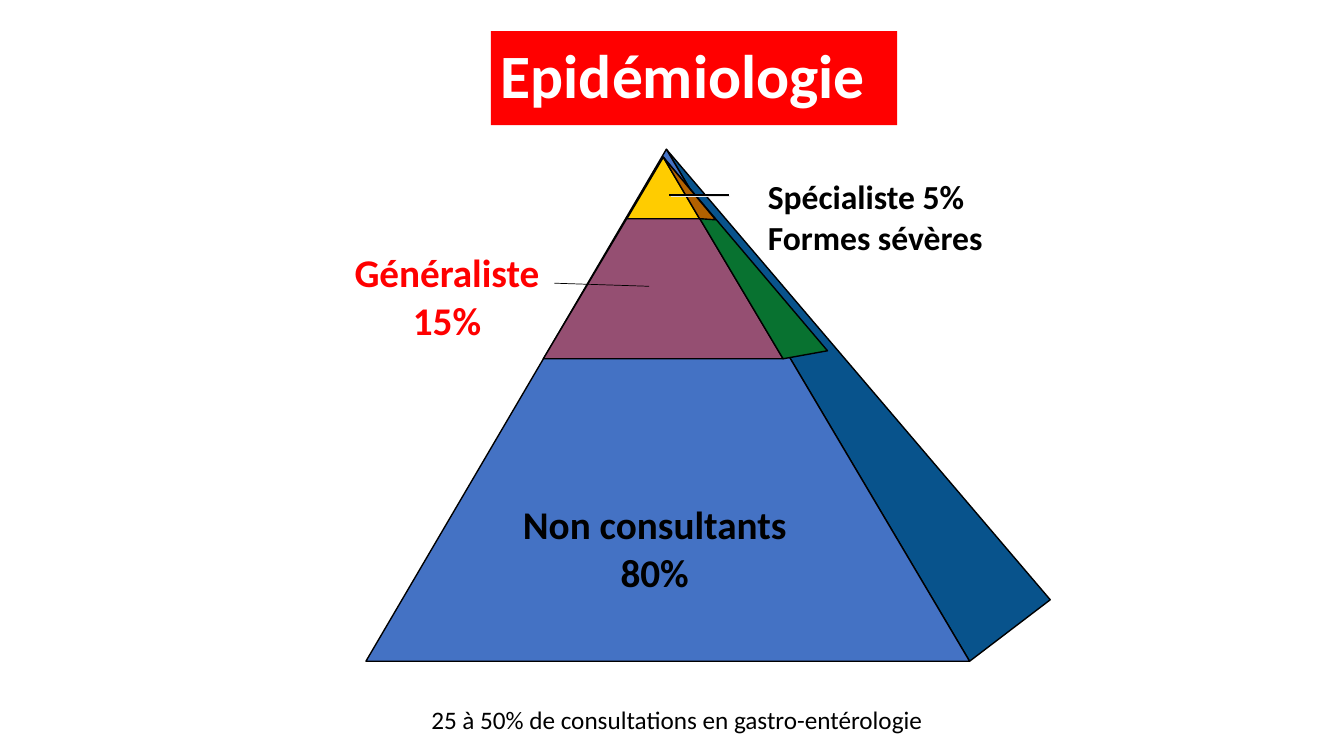
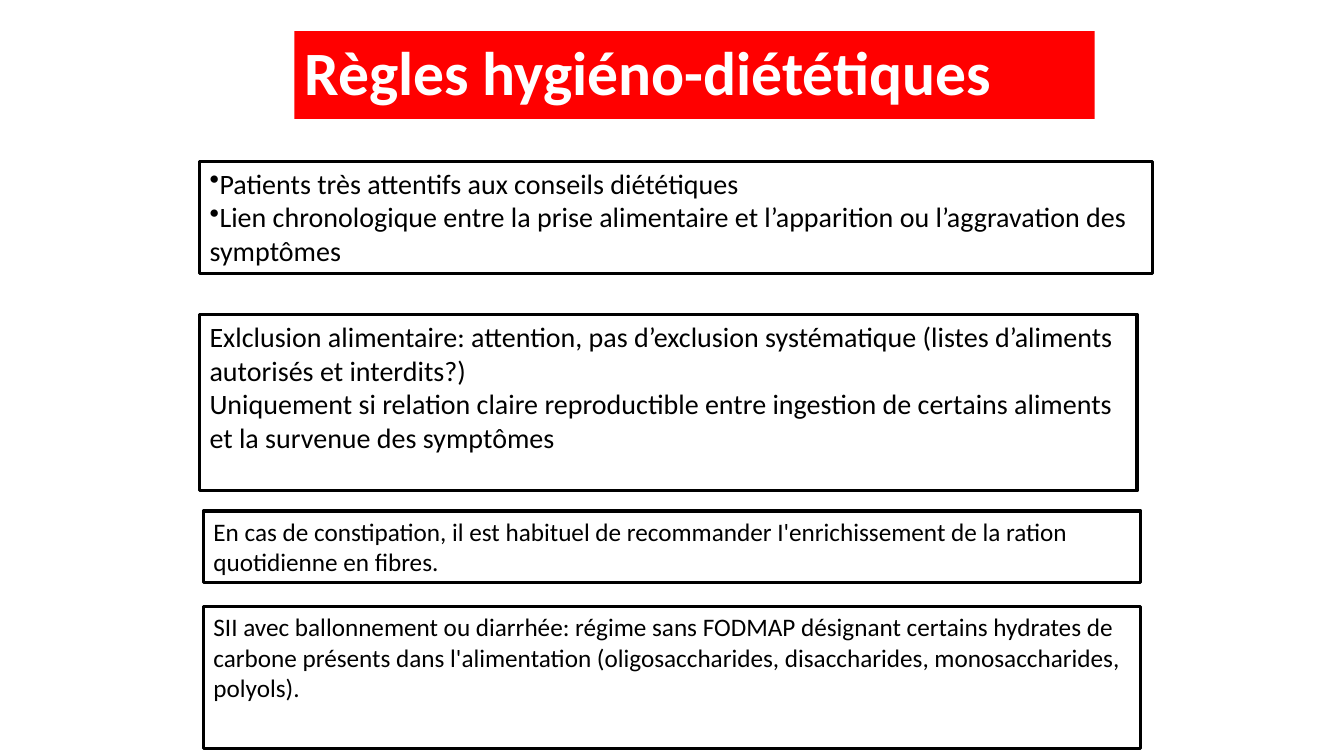
from lxml.etree import SubElement
from pptx import Presentation
from pptx.dml.color import RGBColor
from pptx.enum.shapes import MSO_CONNECTOR, MSO_SHAPE
from pptx.enum.text import MSO_ANCHOR, MSO_AUTO_SIZE, PP_ALIGN
from pptx.oxml.ns import qn
from pptx.util import Pt

COLORS = {
    "white": "FFFFFF", "black": "000000", "red": "FF0000", "shadow": "E7E6E6",
    "blue": "4472C4", "dark blue": "08538C", "plum": "954F72",
    "green": "087230", "yellow": "FFCC00", "orange": "B26100",
}


def color(name):
    return RGBColor.from_string(COLORS[name])


def write(shape, lines, size=18, ink="black", bold=False, align=PP_ALIGN.LEFT,
          anchor=MSO_ANCHOR.TOP, wrap=True, spacing=None, bullet=None, shadow=False):
    frame = shape.text_frame
    frame.word_wrap = wrap
    frame.auto_size = MSO_AUTO_SIZE.NONE
    frame.vertical_anchor = anchor
    for index, line in enumerate(lines):
        para = frame.add_paragraph() if index else frame.paragraphs[0]
        para.alignment = align
        if bullet:
            SubElement(para._p.get_or_add_pPr(), qn("a:buChar"), char=bullet)
        if spacing:
            para.line_spacing = spacing
        span = para.add_run()
        span.text = line
        span.font.size = Pt(size)
        span.font.bold = bold
        span.font.color.rgb = color(ink)
        if shadow:
            add_shadow(span._r.get_or_add_rPr(), 2.8)
        span.font.name = "Calibri"


def add_shadow(parent, distance=None):
    effects = SubElement(parent, qn("a:effectLst"))
    if distance:
        outer = SubElement(effects, qn("a:outerShdw"), dist=str(Pt(distance)),
                           dir="2700000", algn="ctr", rotWithShape="0")
        SubElement(outer, qn("a:srgbClr"), val=COLORS["shadow"])


deck = Presentation()
deck.slide_width, deck.slide_height = Pt(960), Pt(540)

# Red title band on each page: left, width, height
titles = [
    ("Epidémiologie", 350.6, 290.2, 67),
    ("Règles hygiéno-diététiques", 210.2, 571.7, 62.6),
]
pages = []
for text, left, width, height in titles:
    page = deck.slides.add_slide(deck.slide_layouts[5])
    title = page.shapes.title
    title.left, title.top = Pt(left), Pt(22.3)
    title.width, title.height = Pt(width), Pt(height)
    title.fill.solid()
    title.fill.fore_color.rgb = color("red")
    write(title, [text], size=44, ink="white", bold=True,
          anchor=MSO_ANCHOR.MIDDLE, spacing=0.9)
    pages.append(page)
pyramid_page, rules_page = pages

# Pyramid faces, from back to front
apex, inner_apex = (476, 106.6), (473.8, 112.3)
base_left, base_right, base_back = (261.4, 472.3), (692.6, 472.3), (750.2, 428.4)
middle_left, middle_right, middle_back = (388.1, 256.3), (559.4, 256.3), (591.1, 250.6)
top_left, top_right, top_back = (447.8, 156.2), (499.7, 156.2), (511.2, 157)
faces = [
    ("dark blue", apex, base_right, base_back),
    ("blue", apex, base_right, base_left),
    ("plum", inner_apex, middle_right, middle_left),
    ("green", inner_apex, middle_right, middle_back),
    ("yellow", inner_apex, top_right, top_left),
    ("orange", inner_apex, top_right, top_back),
]
for fill, start, *corners in faces:
    builder = pyramid_page.shapes.build_freeform(Pt(start[0]), Pt(start[1]))
    builder.add_line_segments([(Pt(x), Pt(y)) for x, y in corners], close=True)
    face = builder.convert_to_shape()
    face.shadow.inherit = False
    face.fill.solid()
    face.fill.fore_color.rgb = color(fill)
    face.line.color.rgb = color("black")
    face.line.width = Pt(1)

# Leader lines
leaders = [
    (520.6, 139.3, 478, 139.3, 0.75, 1.4),
    (396, 202.3, 463.7, 204.5, 0.5, None),
]
for x1, y1, x2, y2, weight, distance in leaders:
    leader = pyramid_page.shapes.add_connector(
        MSO_CONNECTOR.STRAIGHT, Pt(x1), Pt(y1), Pt(x2), Pt(y2))
    leader.line.color.rgb = color("black")
    leader.line.width = Pt(weight)
    add_shadow(leader._element.spPr, distance)

# Pyramid labels and footnote
heading = dict(bold=True, shadow=True)
centred = dict(align=PP_ALIGN.CENTER)
labels = [
    (["Spécialiste 5%", "Formes sévères"], (541.4, 122.4, 175, 65.5),
     dict(heading, size=24, wrap=False)),
    (["Non consultants", "80%"], (345.6, 354.2, 244.1, 74.9),
     dict(heading, **centred, size=28)),
    (["Généraliste", "15%"], (242.6, 174.2, 153.4, 74.9),
     dict(heading, **centred, size=28, ink="red")),
    (["25 à 50% de consultations en gastro-entérologie"], (298.8, 499.7, 369.4, 28.8),
     dict(centred, wrap=False)),
]
for lines, bounds, style in labels:
    box = pyramid_page.shapes.add_textbox(*map(Pt, bounds))
    write(box, lines, **style)

# Framed dietary rules
rules = [
    (["Patients très attentifs aux conseils diététiques",
      "Lien chronologique entre la prise alimentaire et l’apparition ou l’aggravation des symptômes"],
     (142.6, 115.2, 680.4, 79.9), dict(size=20, bullet="•")),
    (["Exlclusion alimentaire: attention, pas d’exclusion systématique (listes d’aliments autorisés et interdits?)",
      "Uniquement si relation claire reproductible entre ingestion de certains aliments et la survenue des symptômes"],
     (142.6, 224.6, 669.6, 126), dict(size=20)),
    (["En cas de constipation, il est habituel de recommander I'enrichissement de la ration quotidienne en fibres."],
     (145.4, 365, 669.6, 51.1), {}),
    (["SII avec ballonnement ou diarrhée: régime sans FODMAP désignant certains hydrates de carbone présents "
      "dans l'alimentation (oligosaccharides, disaccharides, monosaccharides, polyols)."],
     (145.4, 433.4, 669.6, 101.5), {}),
]
for lines, bounds, style in rules:
    box = rules_page.shapes.add_shape(MSO_SHAPE.RECTANGLE, *map(Pt, bounds))
    box.shadow.inherit = False
    box.fill.background()
    box.line.color.rgb = color("black")
    box.line.width = Pt(2.25)
    write(box, lines, **style)

deck.save("out.pptx")
